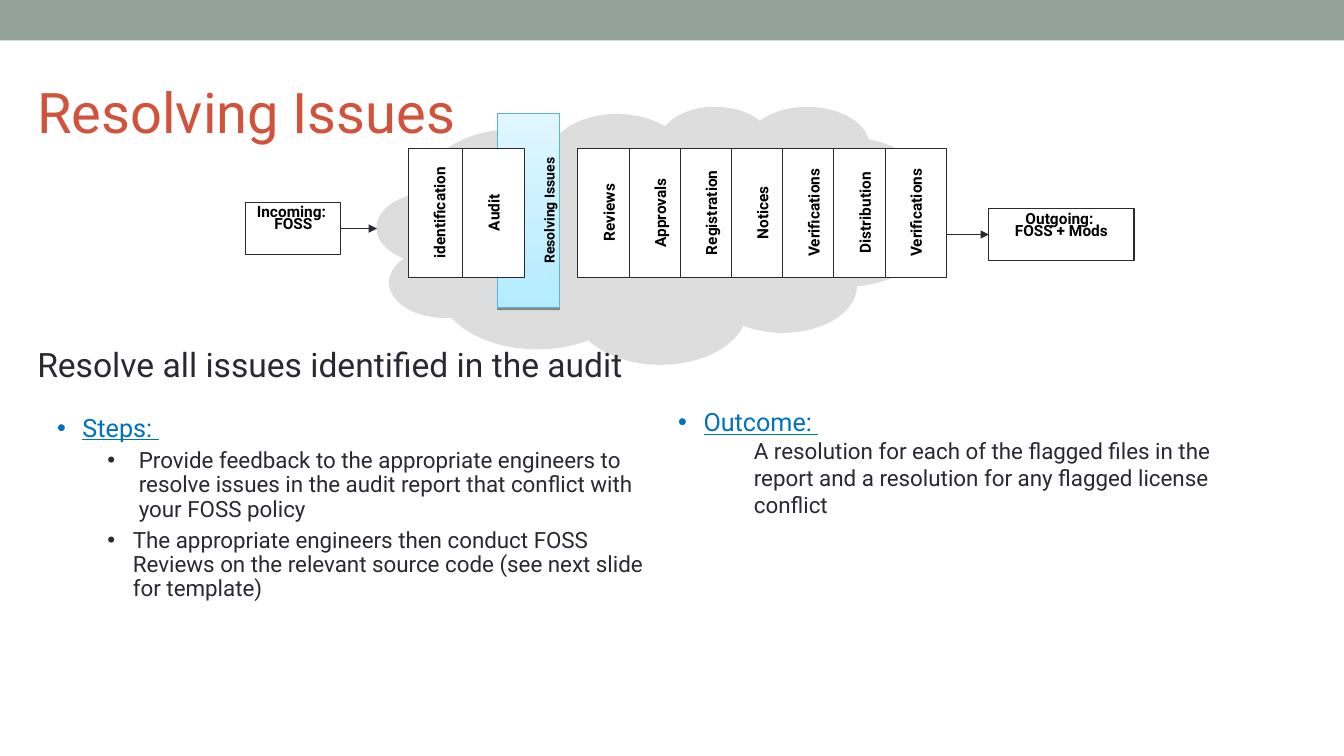
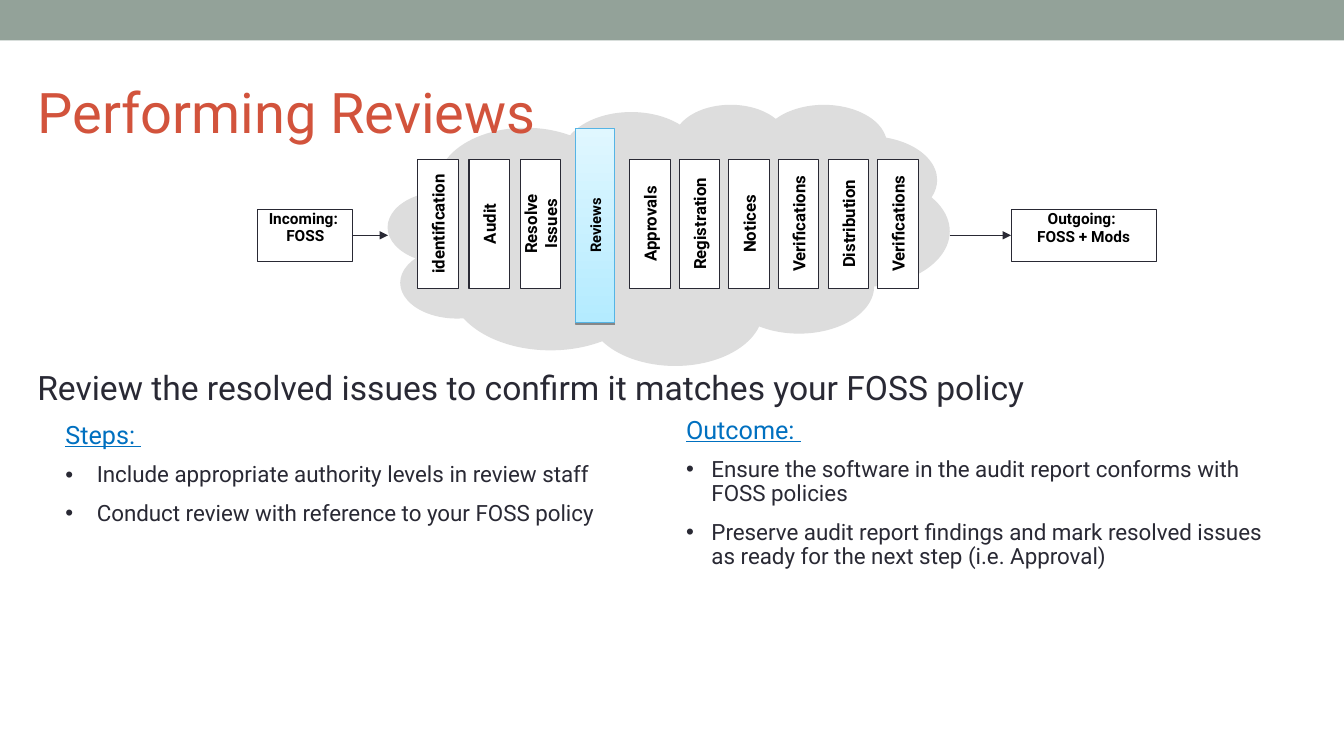
from pptx import Presentation
from pptx.dml.color import RGBColor
from pptx.enum.shapes import MSO_CONNECTOR, MSO_SHAPE
from pptx.enum.text import MSO_ANCHOR as Anchor, MSO_AUTO_SIZE as AutoSize, PP_ALIGN as Align
from pptx.oxml import parse_xml
from pptx.oxml.ns import nsdecls, qn
from pptx.util import Cm, Pt

FONT = "Roboto"
INK, BLACK, WHITE = "292934", "000000", "FFFFFF"
ACCENT, BAND, LINK, CLOUD = "D2533C", "93A299", "0070C0", "DDDDDD"
GLOW_TOP, GLOW_BOTTOM, GLOW_LINE = "E0F7FF", "B4EBFF", "55B4E5"

# name: level, left margin (cm), hanging (cm), line spacing, space before (pt), bullet
LIST_STYLES = {
    "heading": (0, 0, 0, 0.9, 0, False),
    "bullet heading": (0, 0.64, 0.64, 0.9, 0, True),
    "plain": (0, 1.91, 0, 1.0, 0, False),
    "wide sub-bullet": (1, 2.06, 0.79, 0.9, 5, True),
    "sub-bullet": (1, 1.91, 0.64, 0.9, 5, True),
    "bullet": (0, 0.64, 0.64, 0.9, 10, True),
    "wide bullet": (0, 0.79, 0.79, 0.9, 10, True),
}


def rgb(value):
    return RGBColor.from_string(value)


def drawing_xml(markup):
    """Parse one DrawingML element, given without its namespace declaration."""
    tag_end = min(markup.index(mark) for mark in " />" if mark in markup)
    return parse_xml(f"{markup[:tag_end]} {nsdecls('a')}{markup[tag_end:]}")


class Deck:
    """Shared style of the slides, and the slide being built."""

    def __init__(self):
        self.presentation = Presentation()
        self.presentation.slide_width = Cm(33.87)
        self.presentation.slide_height = Cm(19.05)
        self.slide = None

    def new_slide(self):
        is_first = self.slide is None
        self.slide = self.presentation.slides.add_slide(self.presentation.slide_layouts[5])
        if is_first:
            self.add_master_band()

    def add_master_band(self):
        band = self.shape(MSO_SHAPE.RECTANGLE, 0, 0, 33.87, 1.02, BAND)
        self.presentation.slide_master.shapes.element.insert(2, band.element)

    def format(self, paragraph, size, color, bold=False, align=Align.LEFT):
        paragraph.alignment = align
        for run in paragraph.runs:
            font = run.font
            font.name, font.size, font.bold = FONT, Pt(size), bold
            font.color.rgb = rgb(color)

    def title(self, text):
        """Fill the title and bring it in front of the cloud."""
        title = self.slide.shapes.title
        title.left, title.top, title.width, title.height = Cm(0.69), Cm(1.42), Cm(30.48), Cm(2.74)
        frame = title.text_frame
        frame.text = text
        frame.auto_size = AutoSize.NONE
        frame.vertical_anchor = Anchor.MIDDLE
        self.format(frame.paragraphs[0], 40, ACCENT)
        self.slide.shapes.element.append(title.element)

    def shape(self, kind, left, top, width, height, fill=None, line=None):
        shape = self.slide.shapes.add_shape(kind, Cm(left), Cm(top), Cm(width), Cm(height))
        shape.shadow.inherit = False
        if fill:
            shape.fill.solid()
            shape.fill.fore_color.rgb = rgb(fill)
        if line:
            shape.line.color.rgb = rgb(line)
            shape.line.width = Pt(0.75)
        else:
            shape.line.fill.background()
        return shape

    def text_box(self, left, top, width, height):
        box = self.slide.shapes.add_textbox(Cm(left), Cm(top), Cm(width), Cm(height))
        box.text_frame.word_wrap = True
        return box

    def subtitle(self, text, top):
        paragraph = self.text_box(0.69, top, 32.5, 1.27).text_frame.paragraphs[0]
        paragraph.text = text
        self.format(paragraph, 24, INK)

    def text_list(self, left, top, width, height, items):
        """Write (style name, text) pairs, one paragraph each."""
        frame = self.text_box(left, top, width, height).text_frame
        for index, (style, text) in enumerate(items):
            paragraph = frame.add_paragraph() if index else frame.paragraphs[0]
            paragraph.text = text
            level, margin, hanging, spacing, before, has_bullet = LIST_STYLES[style]
            is_heading = style.endswith("heading")
            color = LINK if is_heading else INK
            paragraph.level = level
            properties = paragraph._p.get_or_add_pPr()
            properties.set("marL", str(Cm(margin)))
            properties.set("indent", str(-Cm(hanging)))
            if has_bullet:
                properties.append(drawing_xml(f'<a:buClr><a:srgbClr val="{color}"/></a:buClr>'))
                properties.append(drawing_xml('<a:buFont typeface="Arial"/>'))
                properties.append(drawing_xml('<a:buChar char="•"/>'))
            paragraph.line_spacing = spacing
            if index:
                paragraph.space_before = Pt(before)
            self.format(paragraph, 18 if is_heading else 16, color)
            paragraph.runs[0].font.underline = is_heading

    def cloud(self, left, top, width, height, tail):
        cloud = self.shape(MSO_SHAPE.CLOUD_CALLOUT, left, top, width, height, CLOUD)
        cloud.adjustments[0], cloud.adjustments[1] = tail

    def upright_text(self, shape, text, size):
        """Turn a shape a quarter left, with its label centred."""
        shape.rotation = 270
        frame = shape.text_frame
        frame.text = text
        frame.word_wrap = True
        frame.vertical_anchor = Anchor.MIDDLE
        self.format(frame.paragraphs[0], size, BLACK, True, Align.CENTER)

    def highlight(self, text, center_x, center_y, width, size, text_x):
        """Draw the glowing bar of the current stage."""
        length = 4.88
        bar = self.shape(MSO_SHAPE.RECTANGLE, center_x - width / 2, center_y - length / 2,
                         width, length, line=GLOW_LINE)
        bar.fill.gradient()
        bar.fill.gradient_angle = 270
        for stop, color in zip(bar.fill.gradient_stops, (GLOW_TOP, GLOW_BOTTOM)):
            stop.color.rgb = rgb(color)
        bar.element.spPr.find(qn("a:effectLst")).append(drawing_xml(
            f'<a:outerShdw blurRad="0" dist="{Pt(1.6)}" dir="5400000" rotWithShape="0">'
            f'<a:srgbClr val="{BLACK}"><a:alpha val="38000"/></a:srgbClr></a:outerShdw>'))
        label = self.text_box(text_x - length / 2, center_y - width / 2, length, width)
        self.upright_text(label, text, size)

    def stages(self, names, first_x, pitch, center_y, width, size):
        """Draw a row of upright stage boxes, spaced by their centres."""
        length = 3.25
        for index, name in enumerate(names):
            center_x = first_x + index * pitch
            stage = self.shape(MSO_SHAPE.RECTANGLE, center_x - length / 2, center_y - width / 2,
                               length, width, WHITE, INK)
            self.upright_text(stage, name, size)

    def end_box(self, lines, left, top, width, spacings):
        box = self.shape(MSO_SHAPE.RECTANGLE, left, top, width, 1.3, WHITE, INK)
        frame = box.text_frame
        frame.text = "\n".join(lines)
        frame.word_wrap = True
        frame.vertical_anchor = Anchor.TOP
        for paragraph, spacing in zip(frame.paragraphs, spacings):
            paragraph.line_spacing = spacing
            self.format(paragraph, 11, BLACK, True, Align.CENTER)
        return box

    def arrow(self, start_x, end_x, source=None, target=None):
        """Draw a level arrow joined to the box it leaves or reaches."""
        box = source or target
        y = box.top + box.height // 2
        arrow = self.slide.shapes.add_connector(
            MSO_CONNECTOR.STRAIGHT, Cm(start_x), y, Cm(end_x), y)
        if source:
            arrow.begin_connect(source, 3)
        if target:
            arrow.end_connect(target, 1)
        arrow.line.color.rgb = rgb(INK)
        arrow.line.width = Pt(0.75)
        properties = arrow.element.spPr
        properties.find(qn("a:ln")).append(drawing_xml('<a:tailEnd type="triangle"/>'))
        properties.append(drawing_xml("<a:effectLst/>"))

    def flow_ends(self, incoming_at, outgoing_at, cloud_left, cloud_right, second_spacings):
        """Draw the boxes on both sides of the cloud, with their arrows."""
        incoming = self.end_box(("Incoming: ", "FOSS"), *incoming_at, 2.39,
                                (0.65, second_spacings[0]))
        outgoing = self.end_box(("Outgoing: ", "FOSS + Mods"), *outgoing_at, 3.66,
                                (0.7, second_spacings[1]))
        self.arrow(incoming_at[0] + 2.39, cloud_left, source=incoming)
        self.arrow(cloud_right, outgoing_at[0], target=outgoing)


LATER_STAGES = ("Approvals", "Registration", "Notices", "Verifications",
                "Distribution", "Verifications")


def build_resolving_issues(deck):
    deck.new_slide()
    deck.cloud(9.5, 2.67, 13.97, 6.5, (-0.246, 0.157))
    deck.flow_ends((6.2, 5.11), (24.92, 5.26), 9.5, 23.47, (0.65, 0.7))
    deck.highlight("Resolving Issues", 13.32, 5.31, 1.55, 10, text_x=13.84)
    deck.stages(("identification", "Audit"), 11.07, 1.37, 5.36, 1.55, 11)
    deck.stages(("Reviews", *LATER_STAGES), 15.34, 1.29, 5.36, 1.55, 11)
    deck.title("Resolving Issues")
    deck.subtitle("Resolve all issues identified in the audit", 8.53)
    deck.text_list(1.19, 10.34, 15.37, 7.26, (
        ("bullet heading", "Steps: "),
        ("wide sub-bullet", "Provide feedback to the appropriate engineers to resolve issues "
                            "in the audit report that conflict with your FOSS policy"),
        ("sub-bullet", "The appropriate engineers then conduct FOSS Reviews on the relevant "
                       "source code (see next slide for template)"),
    ))
    deck.text_list(16.84, 10.21, 15.29, 6.4, (
        ("bullet heading", "Outcome: "),
        ("plain", "A resolution for each of the flagged files in the report and a resolution "
                  "for any flagged license conflict"),
    ))


def build_performing_reviews(deck):
    deck.new_slide()
    deck.cloud(9.78, 2.62, 14.15, 6.58, (-0.007, 0.116))
    deck.flow_ends((6.5, 5.28), (25.48, 5.28), 9.78, 23.93, (1.0, 1.0))
    deck.highlight("Reviews", 15, 5.68, 0.97, 10.5, text_x=15)
    deck.stages(("identification", "Audit", "Resolve Issues"), 11.04, 1.29, 5.64, 1.02, 12)
    deck.stages(LATER_STAGES, 16.38, 1.25, 5.64, 1.02, 12)
    deck.title("Performing Reviews")
    deck.subtitle("Review the resolved issues to confirm it matches your FOSS policy", 9.12)
    deck.text_list(1.4, 10.52, 14.88, 7.7, (
        ("heading", "Steps: "),
        ("wide bullet", "Include appropriate authority levels in review staff"),
        ("wide bullet", "Conduct review with reference to your FOSS policy"),
    ))
    deck.text_list(17.04, 10.39, 15.09, 7.87, (
        ("heading", "Outcome: "),
        ("bullet", "Ensure the software in the audit report conforms with FOSS policies"),
        ("bullet", "Preserve audit report findings and mark resolved issues as ready for "
                   "the next step (i.e. Approval)"),
    ))


def main():
    deck = Deck()
    build_resolving_issues(deck)
    build_performing_reviews(deck)
    deck.presentation.save("out.pptx")


if __name__ == "__main__":
    main()
